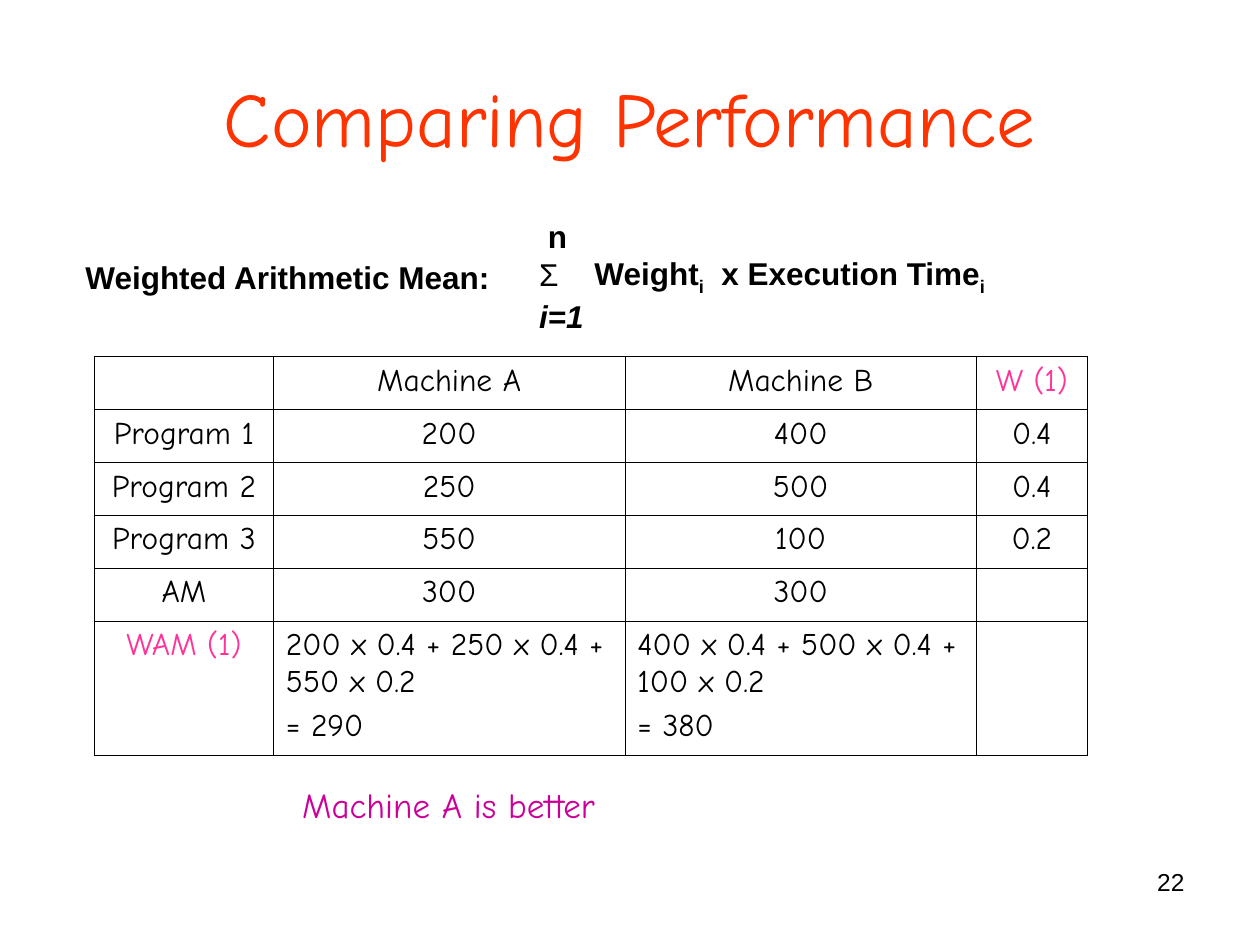
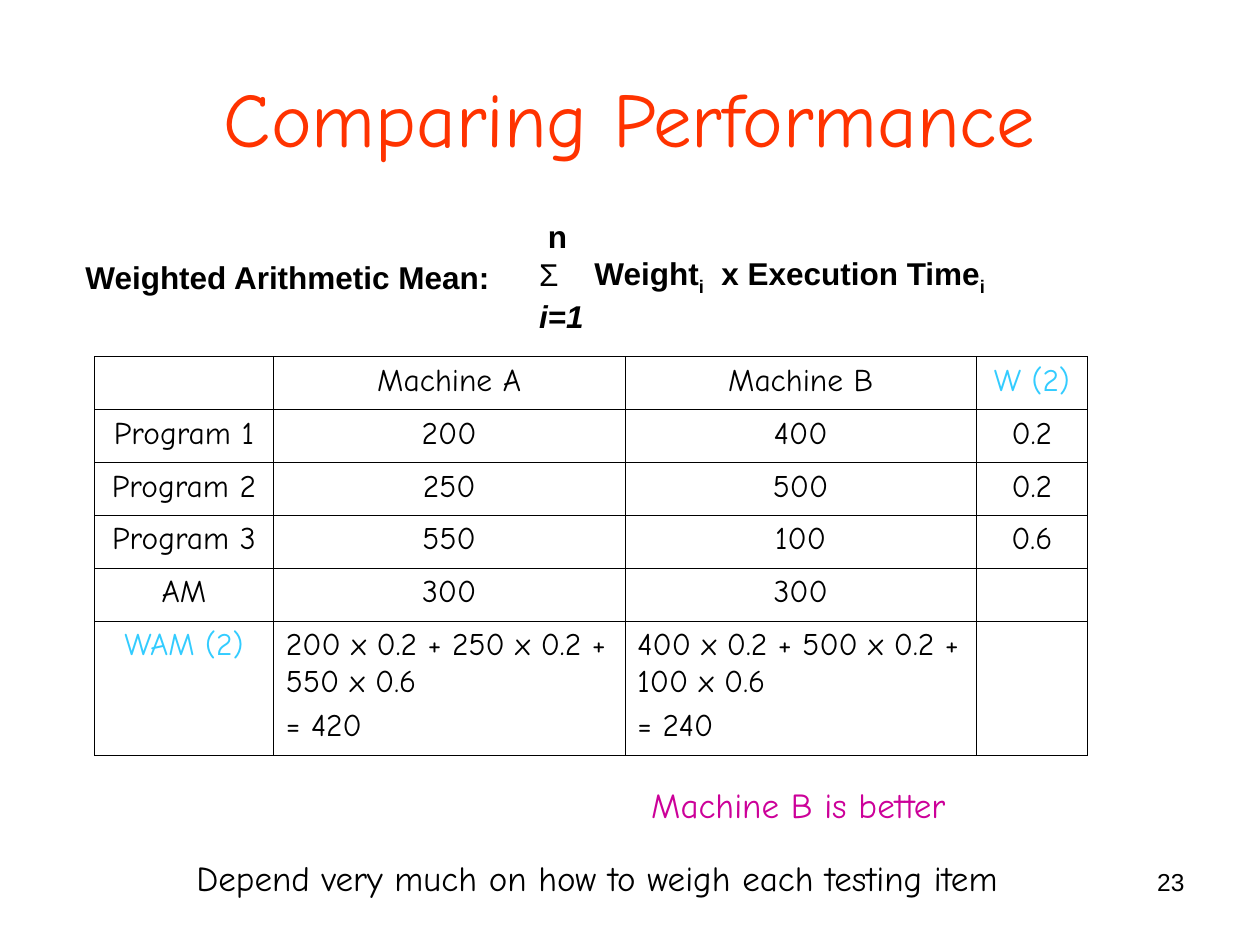
from lxml import etree
from pptx import Presentation
from pptx.dml.color import RGBColor
from pptx.enum.text import MSO_ANCHOR, MSO_AUTO_SIZE, PP_ALIGN
from pptx.oxml.ns import qn
from pptx.util import Inches, Pt

CENTER, LEFT, RIGHT = PP_ALIGN.CENTER, PP_ALIGN.LEFT, PP_ALIGN.RIGHT
MIDDLE = MSO_ANCHOR.MIDDLE
FIT_SHAPE, NO_FIT = MSO_AUTO_SIZE.SHAPE_TO_FIT_TEXT, MSO_AUTO_SIZE.NONE

BLACK = RGBColor(0x00, 0x00, 0x00)
TITLE_RED = RGBColor(0xFF, 0x33, 0x00)
VERDICT_PURPLE = RGBColor(0xCC, 0x00, 0x99)
PINK = RGBColor(0xFF, 0x33, 0x99)
SKY = RGBColor(0x33, 0xCC, 0xFF)
HAND, SANS = "Comic Neue", "Arial"

TITLE_BOX = (0.5, 0.3, 9, 1.25)
MEAN_LABEL_BOX = (0.58, 2, 3.42, 0.7)
SUM_BOX = (4.18, 1.67, 4.17, 1.04)
TABLE_BOX = (0.75, 2.83, 7.88, 3.14)
NUMBER_BOX = (7.17, 6.83, 2.33, 0.52)
CLOSING_BOX = (1.46, 6.75, 6.6, 0.44)

COLUMN_WIDTHS = (1.42, 2.79, 2.79, 0.88)
ROW_HEIGHTS = (0.42,) * 5 + (1.07,)
TIMES = {"Machine A": (200, 250, 550), "Machine B": (400, 500, 100)}
ARITHMETIC_MEAN = "300"

SCHEMES = (
    dict(number=22, scheme=1, weights=(0.4, 0.4, 0.2), accent=PINK,
         verdict="Machine A is better", verdict_box=(2.3, 6.17, 2.53, 0.44)),
    dict(number=23, scheme=2, weights=(0.2, 0.2, 0.6), accent=SKY,
         verdict="Machine B is better", verdict_box=(5.07, 6.17, 2.54, 0.44),
         closing="Depend very much on how to weigh each testing item"),
)


def add_run(paragraph, text, size, font, color=BLACK, bold=False, italic=False):
    """Append one formatted run and return it."""
    run = paragraph.add_run()
    run.text = text
    run.font.size, run.font.name = Pt(size), font
    run.font.bold, run.font.italic = bold, italic
    run.font.color.rgb = color
    return run


def add_text_frame(slide, box, wrap=True, fit=FIT_SHAPE):
    """Add an empty text box and return its frame."""
    frame = slide.shapes.add_textbox(*map(Inches, box)).text_frame
    frame.word_wrap, frame.auto_size = wrap, fit
    return frame


def add_title(slide, box):
    """Place and fill the title placeholder."""
    title = slide.shapes.title
    title.left, title.top, title.width, title.height = map(Inches, box)
    title.text_frame.vertical_anchor = MIDDLE
    heading = title.text_frame.paragraphs[0]
    heading.alignment = CENTER
    add_run(heading, "Comparing Performance", 44, HAND, TITLE_RED)


def indent(paragraph, margin, first_line=0):
    """Set the left margin and first-line indent of a paragraph."""
    properties = paragraph._p.get_or_add_pPr()
    properties.set("marL", str(Inches(margin)))
    properties.set("indent", str(Inches(first_line)))
    return properties


def add_mean_formula(slide, label_box, sum_box):
    """Write the weighted mean label and its summation."""
    label = add_text_frame(slide, label_box).paragraphs[0]
    add_run(label, "Weighted Arithmetic Mean:", 18, SANS, bold=True)

    summation = add_text_frame(slide, sum_box)
    upper = summation.paragraphs[0]
    indent(upper, 0.07)
    add_run(upper, "n", 18, SANS, bold=True)

    terms = summation.add_paragraph()
    sigma = indent(terms, 0.44, -0.44)
    color = etree.SubElement(sigma, qn("a:buClr"))
    etree.SubElement(color, qn("a:srgbClr"), val=str(BLACK))
    etree.SubElement(sigma, qn("a:buFont"), typeface=SANS)
    etree.SubElement(sigma, qn("a:buChar"), char="Σ")
    for text, attribute, value in (("Weight", None, None), ("i", "baseline", "-25000"),
                                   (" ", "spc", "500"), ("x Execution Time", None, None),
                                   ("i", "baseline", "-25000")):
        run = add_run(terms, text, 18, SANS, bold=True)
        if attribute:
            run.font._element.set(attribute, value)

    add_run(summation.add_paragraph(), "i=1", 18, SANS, bold=True, italic=True)


def outline_cell(cell):
    """Draw thin black borders round an unfilled cell."""
    properties = cell._tc.get_or_add_tcPr()
    for side in ("a:lnL", "a:lnR", "a:lnT", "a:lnB"):
        border = etree.SubElement(properties, qn(side), w=str(Pt(0.45)))
        fill = etree.SubElement(border, qn("a:solidFill"))
        etree.SubElement(fill, qn("a:srgbClr"), val=str(BLACK))
    cell.fill.background()


def weighted_mean(times, weights):
    """Return the two lines that work out a weighted mean."""
    products = " + ".join(f"{time} x {weight}" for time, weight in zip(times, weights))
    total = sum(time * weight for time, weight in zip(times, weights))
    return f"{products}\n= {total:.0f}"


def comparison_rows(scheme, weights):
    """Return the table text row by row."""
    programs = [(f"Program {i}", *map(str, values))
                for i, values in enumerate(zip(*TIMES.values(), weights), 1)]
    means = [weighted_mean(times, weights) for times in TIMES.values()]
    return [("", *TIMES, f"W ({scheme})"), *programs,
            ("AM", ARITHMETIC_MEAN, ARITHMETIC_MEAN, ""),
            (f"WAM ({scheme})", *means, "")]


def add_comparison_table(slide, box, scheme, weights, accent):
    """Tabulate times, weights and means of both machines."""
    rows = comparison_rows(scheme, weights)
    table = slide.shapes.add_table(len(rows), len(COLUMN_WIDTHS), *map(Inches, box)).table
    table.first_row = table.horz_banding = False
    for column, width in zip(table.columns, COLUMN_WIDTHS):
        column.width = Inches(width)
    for row, height in zip(table.rows, ROW_HEIGHTS):
        row.height = Inches(height)
    for r, texts in enumerate(rows):
        for c, text in enumerate(texts):
            cell = table.cell(r, c)
            outline_cell(cell)
            lines = text.split("\n") if text else []
            color = accent if text.startswith("W") else BLACK
            for i, line in enumerate(lines):
                frame = cell.text_frame
                paragraph = frame.add_paragraph() if i else frame.paragraphs[0]
                paragraph.alignment = LEFT if len(lines) > 1 else CENTER
                paragraph.space_before = Pt(4.5)
                add_run(paragraph, line, 18, HAND, color)


def add_remark(slide, box, text, color):
    """Write a one-line handwritten remark."""
    remark = add_text_frame(slide, box, wrap=False).paragraphs[0]
    add_run(remark, text, 20, HAND, color)


def add_slide_number(slide, box, number):
    """Write the slide number at the right of its box."""
    paragraph = add_text_frame(slide, box, fit=NO_FIT).paragraphs[0]
    paragraph.alignment = RIGHT
    add_run(paragraph, str(number), 14, SANS)


def add_comparison_slide(deck, number, scheme, weights, accent, verdict, verdict_box,
                         closing=None):
    """Build one slide comparing the machines under a weighting scheme."""
    slide = deck.slides.add_slide(deck.slide_layouts.get_by_name("Title Only"))
    add_title(slide, TITLE_BOX)
    add_mean_formula(slide, MEAN_LABEL_BOX, SUM_BOX)
    add_comparison_table(slide, TABLE_BOX, scheme, weights, accent)
    add_remark(slide, verdict_box, verdict, VERDICT_PURPLE)
    if closing:
        add_remark(slide, CLOSING_BOX, closing, BLACK)
    add_slide_number(slide, NUMBER_BOX, number)


def main():
    """Build and save the deck."""
    deck = Presentation()
    deck.slide_width, deck.slide_height = Inches(10), Inches(7.5)
    for scheme in SCHEMES:
        add_comparison_slide(deck, **scheme)
    deck.save("out.pptx")


if __name__ == "__main__":
    main()
